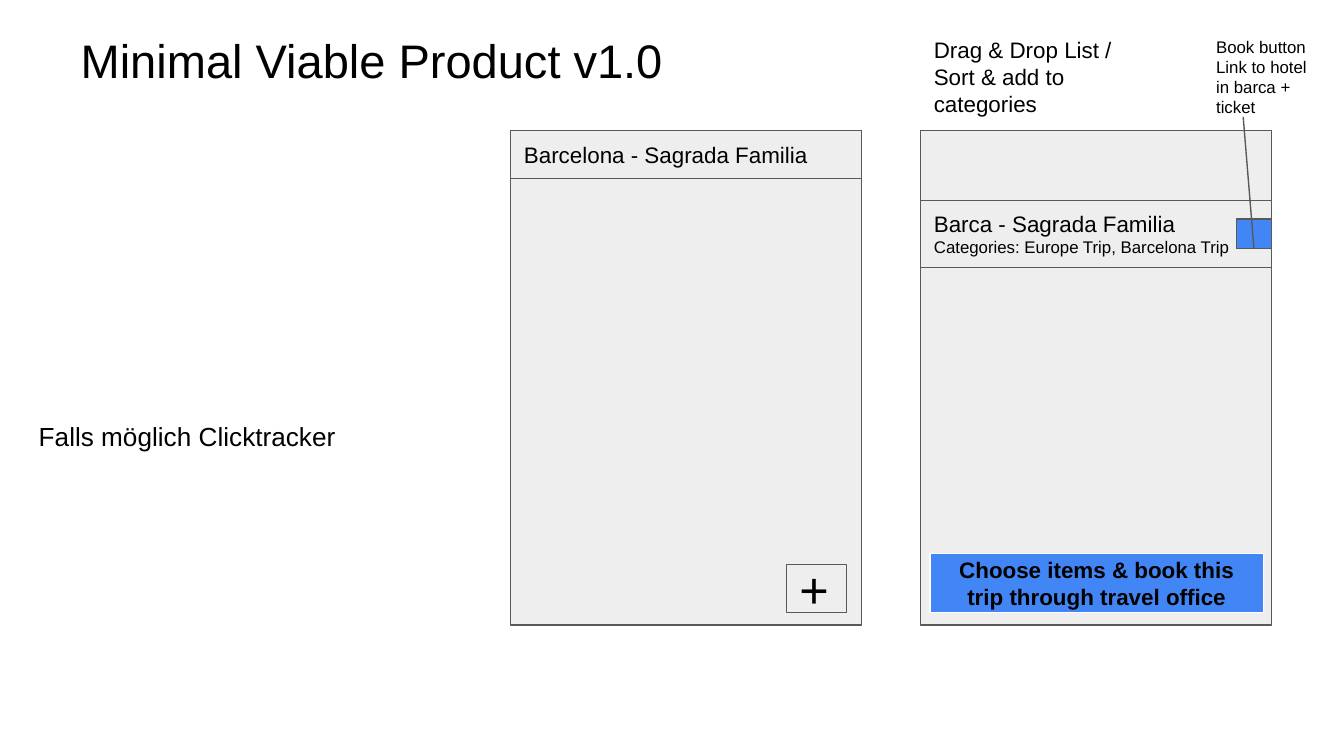
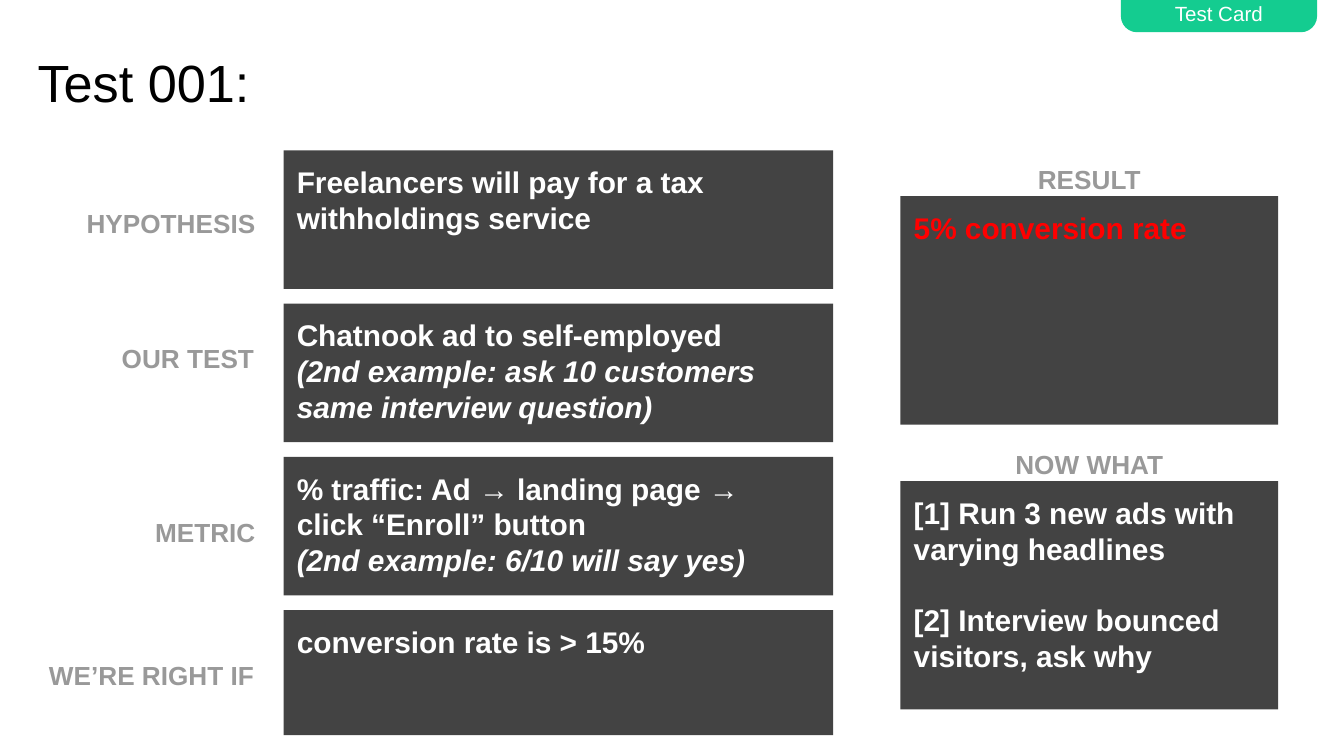
from pptx import Presentation
from pptx.dml.color import RGBColor
from pptx.enum.shapes import MSO_CONNECTOR, MSO_SHAPE
from pptx.enum.text import MSO_ANCHOR, MSO_AUTO_SIZE, PP_ALIGN
from pptx.oxml.ns import qn
from pptx.util import Inches, Pt
from lxml.etree import SubElement

FONT = "Arial"
BLACK = RGBColor(0x00, 0x00, 0x00)
WHITE = RGBColor(0xFF, 0xFF, 0xFF)
PALE = RGBColor(0xEE, 0xEE, 0xEE)
OUTLINE = RGBColor(0x59, 0x59, 0x59)
BLUE = RGBColor(0x42, 0x85, 0xF4)
DARK = RGBColor(0x43, 0x43, 0x43)
MUTED = RGBColor(0x99, 0x99, 0x99)
GREEN = RGBColor(0x14, 0xCC, 0x90)
RED = RGBColor(0xFF, 0x00, 0x00)


def write(frame, *paragraphs, anchor=MSO_ANCHOR.TOP, inset_y=0.1, **base):
    """Fill a frame; a paragraph is a string or a (string, overrides) pair."""
    frame.word_wrap = True
    frame.auto_size = MSO_AUTO_SIZE.NONE
    frame.vertical_anchor = anchor
    frame.margin_left = frame.margin_right = Inches(0.1)
    frame.margin_top = frame.margin_bottom = Inches(inset_y)
    for index, entry in enumerate(paragraphs):
        text, changes = (entry, {}) if isinstance(entry, str) else entry
        style = {**base, **changes}
        paragraph = frame.paragraphs[0] if index == 0 else frame.add_paragraph()
        paragraph.alignment = style.get("align", PP_ALIGN.LEFT)
        paragraph.line_spacing = style.get("spacing", 1.0)
        paragraph.space_before = Pt(0)
        paragraph.space_after = Pt(style.get("after", 0))
        for number, line in enumerate(text.split("\n")):
            if number:
                paragraph.add_line_break()
            run = paragraph.add_run()
            run.text = line
            run.font.name = FONT
            run.font.size = Pt(style.get("size", 12))
            run.font.bold = style.get("bold", False)
            run.font.italic = style.get("italic", False)
            run.font.color.rgb = style.get("color", BLACK)


class Deck:
    def __init__(self):
        self.prs = Presentation()
        self.prs.slide_width = Inches(10)
        self.prs.slide_height = Inches(10 * 9 / 16)
        self.slide = None

    def new_slide(self, title, left, top, width, height, size):
        self.slide = self.prs.slides.add_slide(self.prs.slide_layouts[5])
        heading = self.slide.shapes.title
        heading.left, heading.top = Inches(left), Inches(top)
        heading.width, heading.height = Inches(width), Inches(height)
        write(heading.text_frame, title, size=size,
              anchor=MSO_ANCHOR.MIDDLE, inset_y=0.05)

    def box(self, left, top, width, height, *paragraphs, fill=PALE,
            line=OUTLINE, kind=MSO_SHAPE.RECTANGLE, **style):
        box = self.slide.shapes.add_shape(
            kind, Inches(left), Inches(top), Inches(width), Inches(height))
        box.shadow.inherit = False
        box.fill.solid()
        box.fill.fore_color.rgb = fill
        if line is None:
            box.line.fill.background()
        else:
            box.line.color.rgb = line
            box.line.width = Pt(0.75)
        if paragraphs:
            write(box.text_frame, *paragraphs,
                  **{"anchor": MSO_ANCHOR.MIDDLE, **style})
        return box

    def note(self, left, top, width, height, text, **style):
        note = self.slide.shapes.add_textbox(
            Inches(left), Inches(top), Inches(width), Inches(height))
        write(note.text_frame, text, **style)

    def label(self, left, top, width, height, text, align):
        self.note(left, top, width, height, text, align=align, size=14,
                  bold=True, color=MUTED, spacing=1.15)

    def card(self, left, top, width, height, *paragraphs, color=WHITE):
        self.box(left, top, width, height, *paragraphs, fill=DARK, line=None,
                 anchor=MSO_ANCHOR.TOP, size=16, bold=True, color=color)

    def pointer(self, x1, y1, x2, y2):
        pointer = self.slide.shapes.add_connector(
            MSO_CONNECTOR.STRAIGHT, Inches(x1), Inches(y1), Inches(x2), Inches(y2))
        pointer.line.color.rgb = OUTLINE
        pointer.line.width = Pt(0.75)
        SubElement(pointer.element.spPr, qn("a:effectLst"))


def build_product(deck):
    deck.new_slide("Minimal Viable Product v1.0", 0.5, 0.23, 7.8, 0.43, 25.2)
    add_screen, list_screen = 3.8, 6.85
    top, width, height = 0.97, 2.61, 3.68

    # Screen for adding a sight
    deck.box(add_screen, top, width, height)
    deck.box(add_screen, top, width, 0.36, "Barcelona - Sagrada Familia")
    deck.box(5.85, 4.2, 0.45, 0.36, "+", size=27)

    # Screen for sorting and booking
    deck.box(list_screen, top, width, height)
    deck.note(list_screen, 0.17, 1.76, 0.81,
              "Drag & Drop List / Sort & add to categories")
    deck.box(list_screen, 1.49, width, 0.5, "Barca - Sagrada Familia",
             ("Categories: Europe Trip, Barcelona Trip", {"size": 9}))
    deck.box(9.2, 1.63, 0.26, 0.22, fill=BLUE)
    deck.pointer(9.33, 1.85, 9.25, 0.87)
    deck.note(8.95, 0.17, 0.89, 0.81,
              "Book button Link to hotel in barca + ticket", size=9)
    deck.box(6.92, 4.12, 2.48, 0.44,
             "Choose items & book this trip through travel office",
             fill=BLUE, line=WHITE, bold=True, align=PP_ALIGN.CENTER)

    # Side remark
    deck.note(0.19, 3.03, 2.53, 0.44, "Falls möglich Clicktracker", size=14)


def build_test_card(deck):
    deck.new_slide("Test 001:", 0.18, 0.14, 9.16, 0.94, 28)
    aside = {"italic": True}

    # Test steps: label place, card height, card text
    steps = [
        ("HYPOTHESIS", (0.3, 1.41, 1.7, 0.46), 1.03,
         ["Freelancers will pay for a tax withholdings service"]),
        ("OUR TEST", (0.26, 2.41, 1.73, 0.75), 1.03,
         ["Chatnook ad to self-employed",
          ("(2nd example: ask 10 customers same interview question)", aside)]),
        ("METRIC", (0.3, 3.71, 1.7, 0.46), 1.03,
         ["% traffic: Ad → landing page →\nclick “Enroll” button",
          ("(2nd example: 6/10 will say yes)", aside)]),
        ("WE’RE RIGHT IF", (0.1, 4.77, 1.89, 0.46), 0.93,
         ["conversion rate is > 15%"]),
    ]
    for name, place, _, _ in steps:
        deck.label(*place, name, PP_ALIGN.RIGHT)
    for row, (_, _, height, content) in enumerate(steps):
        deck.card(2.11, 1.12 + 1.14 * row, 4.09, height, *content)

    # Corner tab
    tab = deck.box(8.34, 0, 1.46, 0.24, "Test Card", fill=GREEN, line=None,
                   kind=MSO_SHAPE.ROUND_2_SAME_RECTANGLE, size=11, color=WHITE,
                   align=PP_ALIGN.CENTER)
    tab.adjustments[0], tab.adjustments[1] = 0, 0.5

    # Outcome
    outcomes = [
        ("RESULT", RED, ["5% conversion rate"]),
        ("NOW WHAT", WHITE,
         [("[1] Run 3 new ads with varying headlines", {"after": 19}),
          "[2] Interview bounced visitors, ask why"]),
    ]
    for row, (name, color, content) in enumerate(outcomes):
        offset = 2.12 * row
        deck.label(7.24, 1.08 + offset, 1.73, 0.46, name, PP_ALIGN.CENTER)
        deck.card(6.7, 1.46 + offset, 2.81, 1.7, *content, color=color)


def main():
    deck = Deck()
    build_product(deck)
    build_test_card(deck)
    deck.prs.save("out.pptx")


if __name__ == "__main__":
    main()
